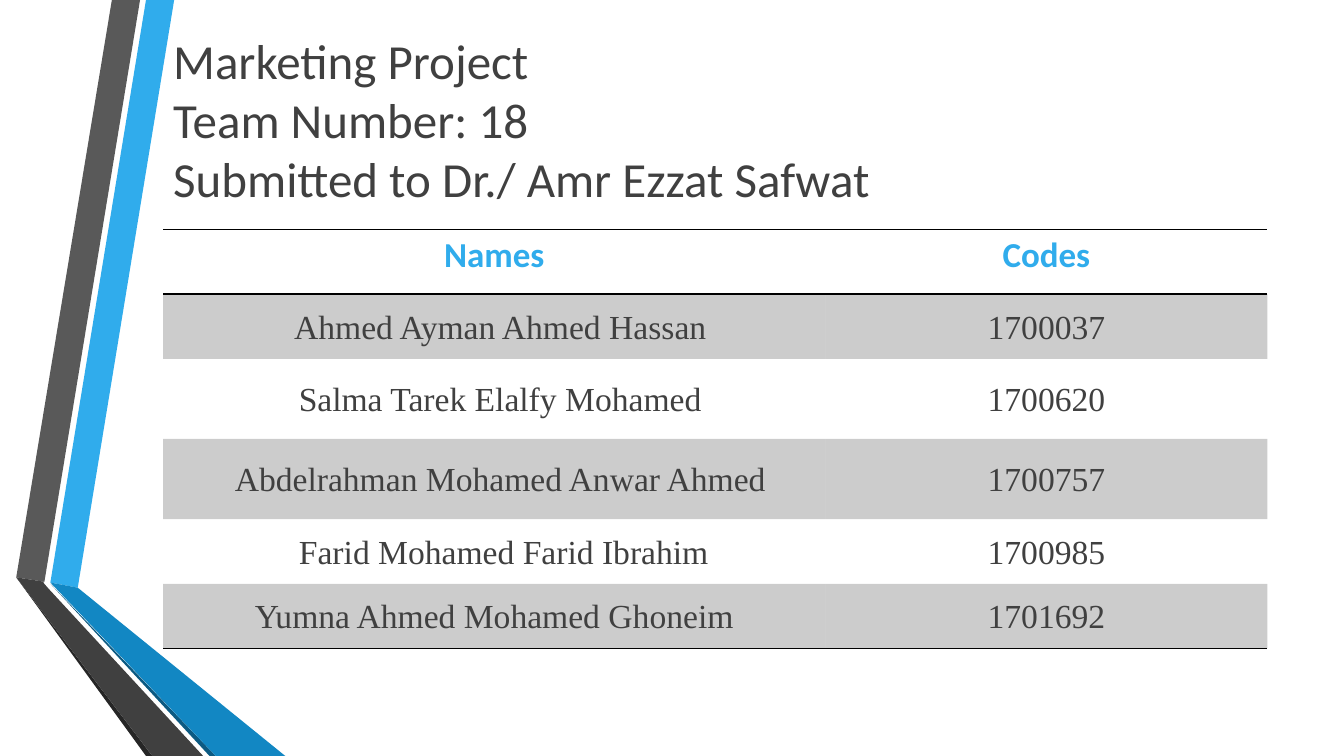
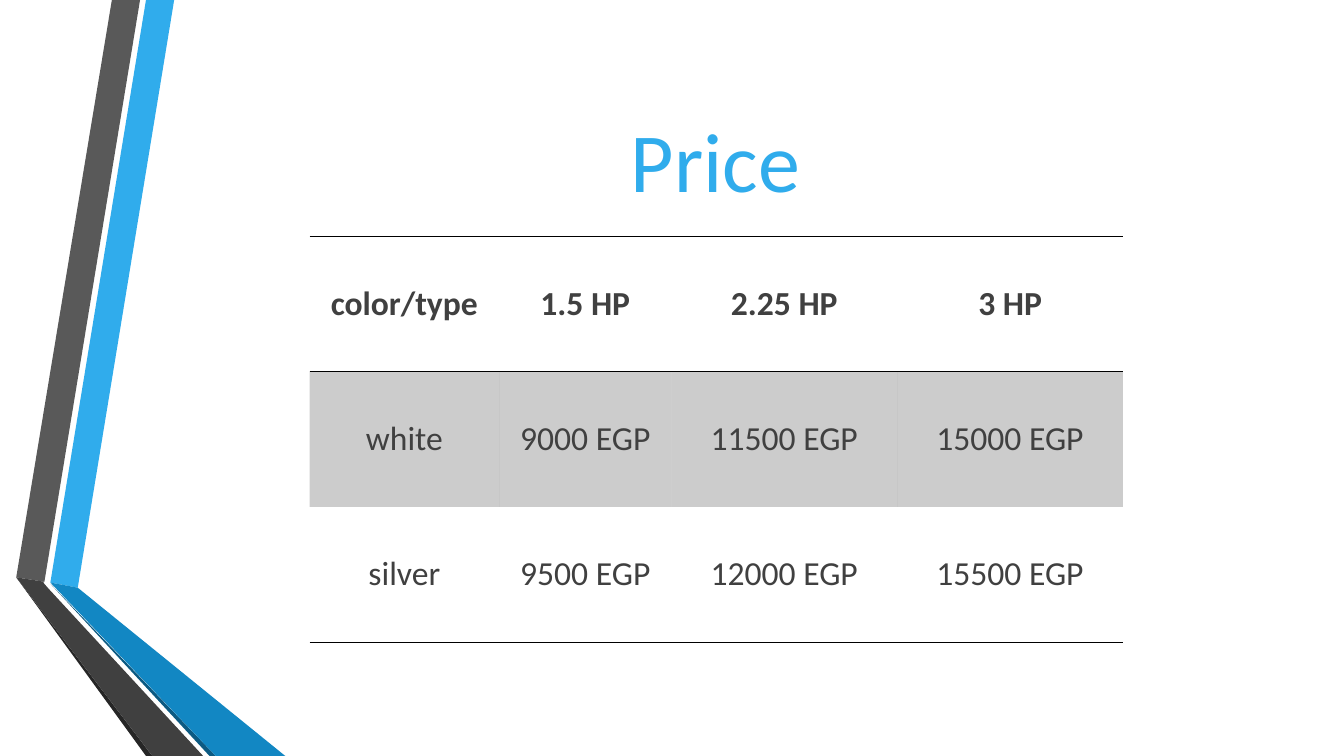
from dataclasses import dataclass

from lxml import etree
from pptx import Presentation
from pptx.dml.color import RGBColor
from pptx.enum.text import MSO_ANCHOR, MSO_AUTO_SIZE, PP_ALIGN
from pptx.oxml.ns import qn
from pptx.util import Cm, Pt

LEFT, CENTER = PP_ALIGN.LEFT, PP_ALIGN.CENTER
TOP, MIDDLE = MSO_ANCHOR.TOP, MSO_ANCHOR.MIDDLE
NO_AUTOFIT = MSO_AUTO_SIZE.NONE

COLORS = {
    "blue": "30ACEC",
    "blue_dark": "1287C3",
    "blue_shadow": "0C5A82",
    "gray": "595959",
    "gray_dark": "404040",
    "gray_shadow": "262626",
    "black": "000000",
}
SANS, SERIF = "Calibri", "Times New Roman"
TITLE_ONLY_LAYOUT = 5
NO_TABLE_STYLE = "{2D5ABB26-0587-4C30-8999-92F81FD0307C}"
STRIPE_OPACITY = 20000

# Outlines of the folded ribbons, in centimetres
RIBBONS = [
    ("blue", [(1.27, 14.68), (1.96, 14.81), (4.39, 0), (3.68, 0)]),
    ("gray", [(3.53, 0), (2.82, 0), (0.41, 14.55), (1.12, 14.66)]),
    ("gray_shadow", [(0.41, 14.55), (3.68, 19.05), (3.84, 19.05)]),
    ("blue_shadow", [(1.27, 14.71), (5.28, 19.05), (5.44, 19.05)]),
    ("blue_dark", [(1.27, 14.68), (5.44, 19.05), (7.19, 19.05), (1.96, 14.81)]),
    ("gray_dark", [(5.12, 19.05), (1.22, 14.83), (1.09, 14.68), (1.12, 14.66),
                   (0.41, 14.55), (3.84, 19.05)]),
]

MEMBERS = [
    ("Names", "Codes"),
    ("Ahmed Ayman Ahmed Hassan", "1700037"),
    ("Salma Tarek Elalfy Mohamed", "1700620"),
    ("Abdelrahman Mohamed Anwar Ahmed", "1700757"),
    ("Farid Mohamed Farid Ibrahim", "1700985"),
    ("Yumna Ahmed Mohamed Ghoneim", "1701692"),
]
NAME_INDENTS = [0, 0.3, 0.3, 0.3, 0.48, 0]

PRICES = [
    ("color/type", "1.5 HP", "2.25 HP", "3 HP"),
    ("white", "9000 EGP", "11500 EGP", "15000 EGP"),
    ("silver", "9500 EGP", "12000 EGP", "15500 EGP"),
]


@dataclass
class TextStyle:
    size: float
    color: str = "gray_dark"
    font: str = SANS
    bold: bool = False
    anchor: MSO_ANCHOR = MIDDLE
    line_spacing: float = 1.0


def rgb(name):
    return RGBColor.from_string(COLORS[name])


def add_run(paragraph, text, style):
    run = paragraph.add_run()
    run.text = text
    run.font.size = Pt(style.size)
    run.font.name = style.font
    run.font.bold = style.bold
    run.font.color.rgb = rgb(style.color)


def add_ribbon(group, color, points):
    corners = [(Cm(x), Cm(y)) for x, y in points]
    builder = group.shapes.build_freeform(*corners[0], scale=1.0)
    builder.add_line_segments(corners[1:], close=True)
    shape = builder.convert_to_shape()
    shape.shadow.inherit = False
    shape.fill.solid()
    shape.fill.fore_color.rgb = rgb(color)
    shape.line.fill.background()


def move_ribbons_to_layout(slide):
    """Draw the ribbons once and place them behind every slide of the layout."""
    group = slide.shapes.add_group_shape()
    for color, points in RIBBONS:
        add_ribbon(group, color, points)
    tree = slide.slide_layout.shapes.element
    tree.insert(2, group.element)
    for number, properties in enumerate(tree.iter(qn("p:cNvPr")), 1):
        properties.set("id", str(number))


def set_title(slide, lines, top, height, style, alignment=LEFT):
    title = slide.shapes.title
    title.left, title.top = Cm(4.11), Cm(top)
    title.width, title.height = Cm(27.84), Cm(height)
    frame = title.text_frame
    frame.auto_size = NO_AUTOFIT
    frame.word_wrap = True
    frame.vertical_anchor = style.anchor
    paragraph = frame.paragraphs[0]
    paragraph.alignment = alignment
    for index, line in enumerate(lines):
        if index:
            paragraph.add_line_break()
        add_run(paragraph, line, style)


def add_rule(cell, tag):
    """Draw a black line on one side of a cell: a:lnT or a:lnB."""
    line = etree.SubElement(cell._tc.get_or_add_tcPr(), qn(tag), w=str(Pt(1)))
    fill = etree.SubElement(line, qn("a:solidFill"))
    etree.SubElement(fill, qn("a:srgbClr"), val=COLORS["black"])


def fill_stripe(cell):
    cell.fill.solid()
    cell.fill.fore_color.rgb = rgb("black")
    color = next(cell._tc.tcPr.iter(qn("a:srgbClr"), ), None)
    for color in cell._tc.tcPr.find(qn("a:solidFill")):
        etree.SubElement(color, qn("a:alpha"), val=str(STRIPE_OPACITY))


def write_cell(cell, text, style):
    cell.vertical_anchor = style.anchor
    paragraph = cell.text_frame.paragraphs[0]
    paragraph.alignment = CENTER
    paragraph.line_spacing = style.line_spacing
    add_run(paragraph, text, style)


def add_striped_table(slide, rows, left, top, widths, heights, header, body):
    """Add a table with rules around its header, a closing rule and gray odd rows."""
    frame = slide.shapes.add_table(len(rows), len(widths), Cm(left), Cm(top),
                                   Cm(sum(widths)), Cm(sum(heights)))
    for style_id in frame.element.iter(qn("a:tableStyleId")):
        style_id.text = NO_TABLE_STYLE
    table = frame.table
    table.horz_banding = False
    for column, width in zip(table.columns, widths):
        column.width = Cm(width)
    for row, height in zip(table.rows, heights):
        row.height = Cm(height)
    for row_index, values in enumerate(rows):
        for column_index, text in enumerate(values):
            cell = table.cell(row_index, column_index)
            write_cell(cell, text, body if row_index else header)
            if row_index == 0:
                add_rule(cell, "a:lnT")
            if row_index in (0, len(rows) - 1):
                add_rule(cell, "a:lnB")
            if row_index % 2:
                fill_stripe(cell)
            else:
                cell.fill.background()
    return table


def indent_first_column(table, indents):
    for row_index, indent in enumerate(indents):
        paragraph = table.cell(row_index, 0).text_frame.paragraphs[0]
        paragraph._p.get_or_add_pPr().set("marL", str(Cm(indent)))


def build_team_slide(slide):
    set_title(slide, ["Marketing Project", "Team Number: 18",
                      "Submitted to Dr./ Amr Ezzat Safwat"],
              1, 4, TextStyle(35))
    table = add_striped_table(
        slide, MEMBERS, 4.11, 5.78, [16.69, 11.14],
        [1.63, 1.63, 2.02, 2.02, 1.63, 1.63],
        header=TextStyle(25, "blue", bold=True, anchor=TOP),
        body=TextStyle(24, font=SERIF, line_spacing=1.07))
    indent_first_column(table, NAME_INDENTS)


def build_price_slide(slide):
    set_title(slide, ["Price"], 1.9, 4.2, TextStyle(60, "blue"), CENTER)
    add_striped_table(
        slide, PRICES, 7.8, 5.95, [4.78, 4.34, 5.69, 5.69],
        [3.41] * len(PRICES),
        header=TextStyle(24, bold=True), body=TextStyle(24))


def main():
    presentation = Presentation()
    presentation.slide_width, presentation.slide_height = Cm(33.87), Cm(19.05)
    layout = presentation.slide_layouts[TITLE_ONLY_LAYOUT]
    team_slide = presentation.slides.add_slide(layout)
    price_slide = presentation.slides.add_slide(layout)
    move_ribbons_to_layout(team_slide)
    build_team_slide(team_slide)
    build_price_slide(price_slide)
    presentation.save("out.pptx")


if __name__ == "__main__":
    main()
